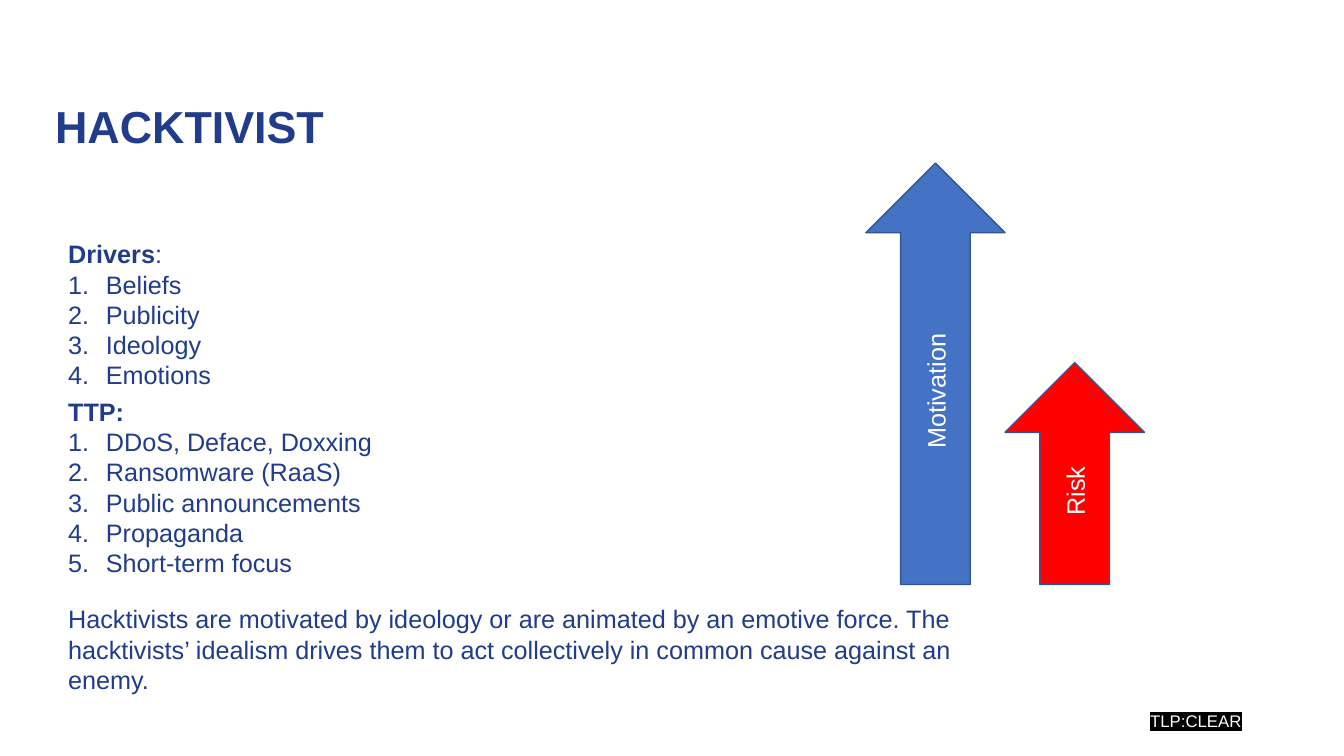
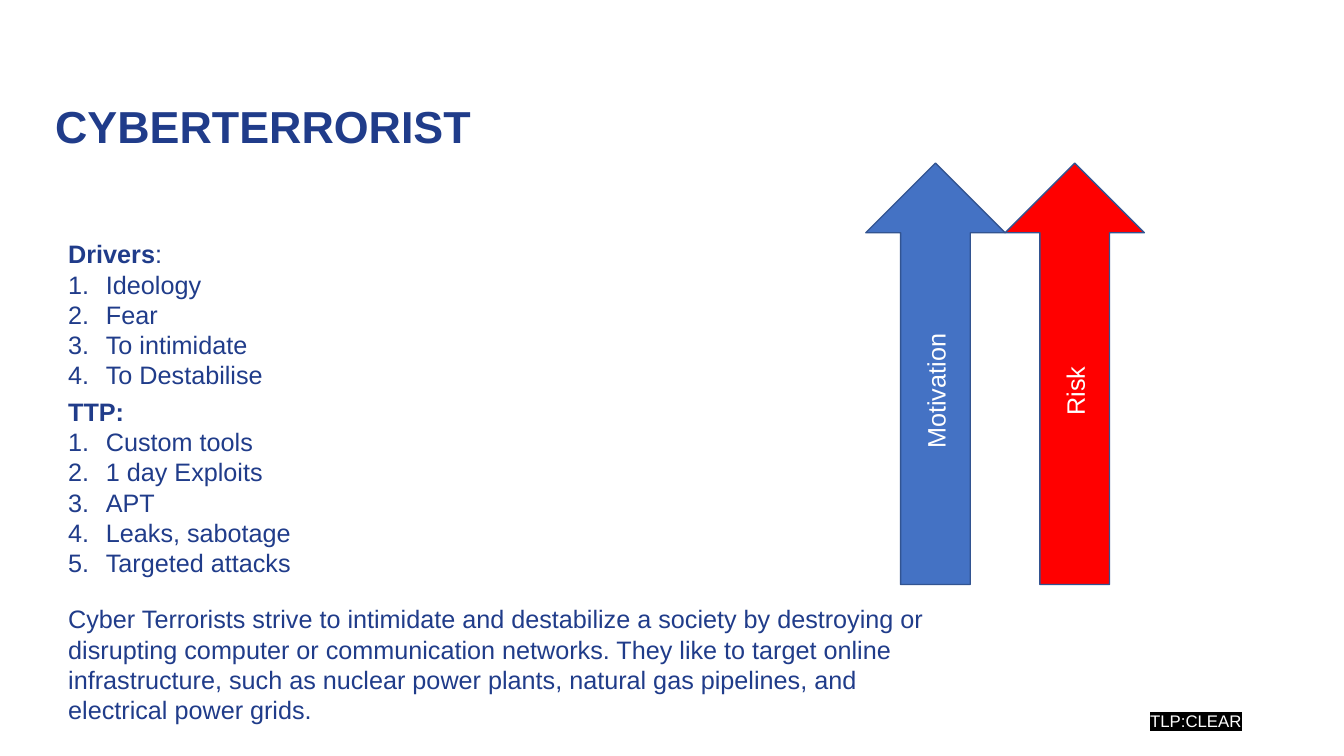
"""Build two threat actor profile slides with motivation and risk arrows."""
import lxml.etree
import pptx
import pptx.dml.color
import pptx.enum.shapes
import pptx.enum.text
import pptx.oxml.ns
import pptx.util

Cm = pptx.util.Cm
Pt = pptx.util.Pt
RGBColor = pptx.dml.color.RGBColor
Align = pptx.enum.text.PP_ALIGN
Anchor = pptx.enum.text.MSO_ANCHOR
qn = pptx.oxml.ns.qn

NAVY = RGBColor(0x20, 0x3C, 0x8A)
BLUE = RGBColor(0x44, 0x72, 0xC4)
RED = RGBColor(0xFF, 0x00, 0x00)
OUTLINE = RGBColor(0x32, 0x54, 0x91)
WHITE = RGBColor(0xFF, 0xFF, 0xFF)
BLACK = RGBColor(0x00, 0x00, 0x00)

TITLE = {"size": Pt(32), "bold": True, "color": NAVY}
BODY = {"size": Pt(18), "bold": False, "color": NAVY}
HEADING = {**BODY, "bold": True}
ARROW = {**BODY, "color": WHITE}
MARKING = {"size": Pt(12), "bold": False, "color": WHITE}

TEXT_LEFT = 1.47
ARROW_LEFT = 21.82
ARROW_WIDTH = 3.51
ARROW_BOTTOM = 14.73
FULL_HEIGHT = 10.62
LOW_HEIGHT = 5.59

PROFILES = [
    {
        "title": "HACKTIVIST",
        "drivers": ["Beliefs", "Publicity", "Ideology", "Emotions"],
        "methods": ["DDoS, Deface, Doxxing", "Ransomware (RaaS)", "Public announcements",
                    "Propaganda", "Short-term focus"],
        "summary": "Hacktivists are motivated by ideology or are animated by an emotive force. "
                   "The hacktivists’ idealism drives them to act collectively in common cause "
                   "against an enemy.",
        "summary_height": 2.57,
        "arrows": [("Motivation", BLUE, FULL_HEIGHT), ("Risk", RED, LOW_HEIGHT)],
    },
    {
        "title": "CYBERTERRORIST",
        "drivers": ["Ideology", "Fear", "To intimidate", "To Destabilise"],
        "methods": ["Custom tools", "1 day Exploits", "APT", "Leaks, sabotage",
                    "Targeted attacks"],
        "summary": "Cyber Terrorists strive to intimidate and destabilize a society by "
                   "destroying or disrupting computer or communication networks. They like to "
                   "target online infrastructure, such as nuclear power plants, natural gas "
                   "pipelines, and electrical power grids.",
        "summary_height": 3.33,
        "arrows": [("Motivation", BLUE, FULL_HEIGHT), ("Risk", RED, FULL_HEIGHT)],
    },
]


class ProfileDeck:
    """Hold the deck style and the slide being built."""

    font_name = "Arial"

    def __init__(self):
        self.deck = pptx.Presentation()
        self.deck.slide_width = Cm(33.87)
        self.deck.slide_height = Cm(19.05)
        self.page = None

    def add_page(self):
        """Start a blank slide."""
        self.page = self.deck.slides.add_slide(self.deck.slide_layouts[6])

    def add_span(self, para, text, style):
        """Add a styled run to a paragraph."""
        span = para.add_run()
        span.text = text
        span.font.name = self.font_name
        for name, value in style.items():
            if name == "color":
                span.font.color.rgb = value
            else:
                setattr(span.font, name, value)
        return span

    def add_box(self, left, top, width, height, anchor=Anchor.TOP):
        """Add a wrapping text box and return its text frame."""
        box = self.page.shapes.add_textbox(Cm(left), Cm(top), Cm(width), Cm(height))
        frame = box.text_frame
        frame.word_wrap = True
        frame.vertical_anchor = anchor
        return frame

    def add_title(self, text):
        """Add the slide title."""
        para = self.add_box(1.14, 1.6, 23.77, 2.39, Anchor.BOTTOM).paragraphs[0]
        para.line_spacing = 0.9
        self.add_span(para, text, TITLE)

    def add_marking(self, text):
        """Add the highlighted handling label at the bottom right."""
        para = self.add_box(28.7, 17.65, 2.84, 1.02, Anchor.MIDDLE).paragraphs[0]
        para.alignment = Align.RIGHT
        span = self.add_span(para, text, MARKING)
        highlight = lxml.etree.Element(qn("a:highlight"))
        lxml.etree.SubElement(highlight, qn("a:srgbClr")).set("val", str(BLACK))
        span.font._element.find(qn("a:solidFill")).addnext(highlight)

    def add_list(self, top, height, heading, items):
        """Add a heading of styled spans with a numbered list below it."""
        frame = self.add_box(TEXT_LEFT, top, 10, height)
        for text, style in heading:
            self.add_span(frame.paragraphs[0], text, style)
        for item in items:
            para = frame.add_paragraph()
            properties = para._p.get_or_add_pPr()
            for name, value in {"marL": Cm(0.95), "indent": Cm(-0.95)}.items():
                properties.set(name, str(int(value)))
            numbering = lxml.etree.SubElement(properties, qn("a:buAutoNum"))
            numbering.set("type", "arabicPeriod")
            self.add_span(para, item, BODY)

    def add_summary(self, text, height):
        """Add the closing paragraph."""
        frame = self.add_box(TEXT_LEFT, 15.09, 22.99, height)
        self.add_span(frame.paragraphs[0], text, BODY)

    def add_arrows(self, arrows):
        """Add a group of adjoining up arrows that share a base line."""
        group = self.page.shapes.add_group_shape()
        for index, (label, color, height) in enumerate(arrows):
            arrow = group.shapes.add_shape(
                pptx.enum.shapes.MSO_SHAPE.UP_ARROW,
                Cm(ARROW_LEFT + index * ARROW_WIDTH), Cm(ARROW_BOTTOM - height),
                Cm(ARROW_WIDTH), Cm(height))
            arrow.shadow.inherit = False
            arrow.fill.solid()
            arrow.fill.fore_color.rgb = color
            arrow.line.color.rgb = OUTLINE
            arrow.line.width = Pt(1)
            frame = arrow.text_frame
            frame.vertical_anchor = Anchor.MIDDLE
            frame._txBody.bodyPr.set("vert", "vert270")
            frame.paragraphs[0].alignment = Align.CENTER
            self.add_span(frame.paragraphs[0], label, ARROW)

    def add_profile(self, profile):
        """Build one complete profile slide."""
        self.add_page()
        self.add_title(profile["title"])
        self.add_marking("TLP:CLEAR")
        self.add_list(5.89, 4.11, [("Drivers", HEADING), (":", BODY)], profile["drivers"])
        self.add_summary(profile["summary"], profile["summary_height"])
        self.add_list(9.86, 5.64, [("TTP:", HEADING)], profile["methods"])
        self.add_arrows(profile["arrows"])


def main():
    """Build and save the deck."""
    builder = ProfileDeck()
    for profile in PROFILES:
        builder.add_profile(profile)
    builder.deck.save("out.pptx")


if __name__ == "__main__":
    main()
